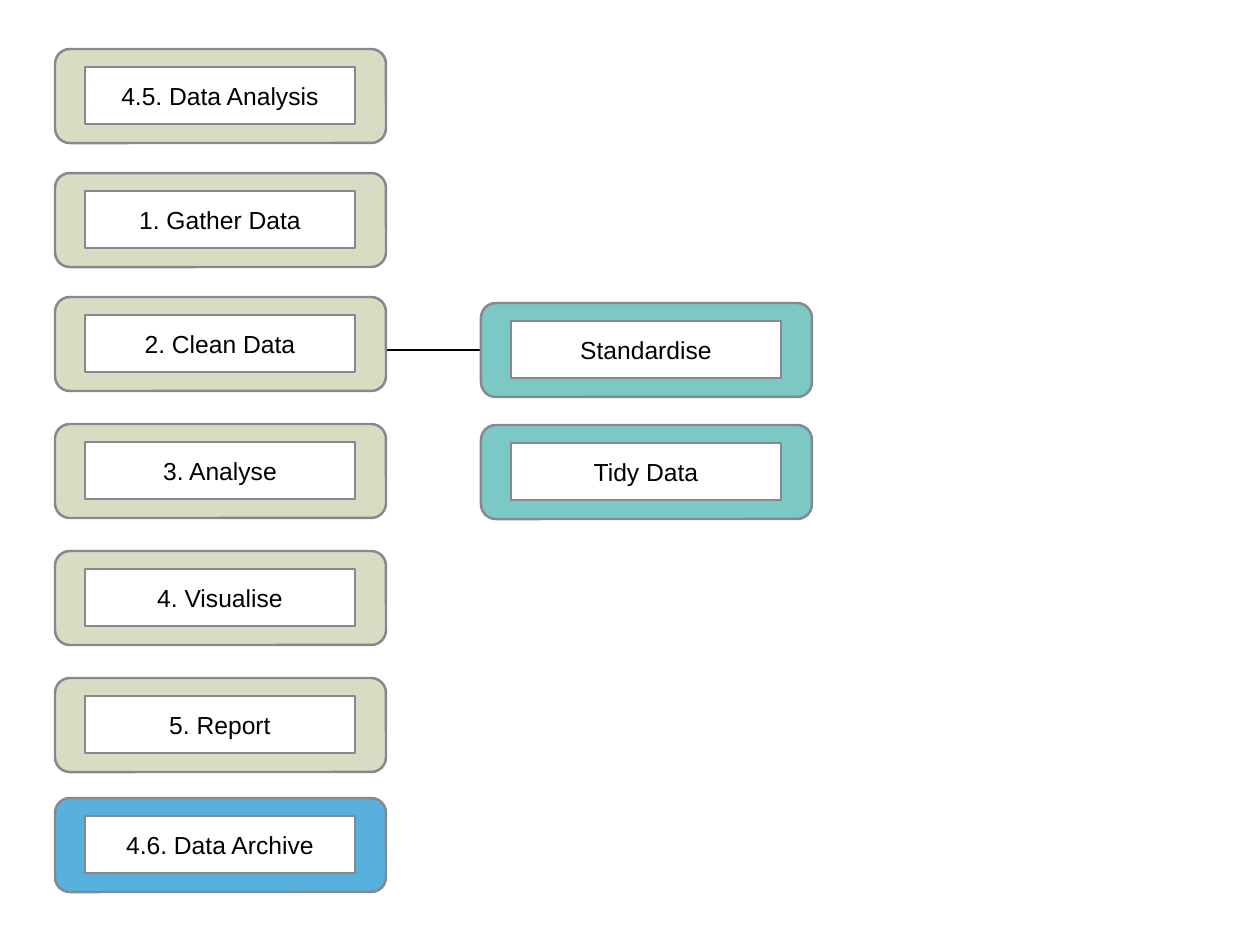
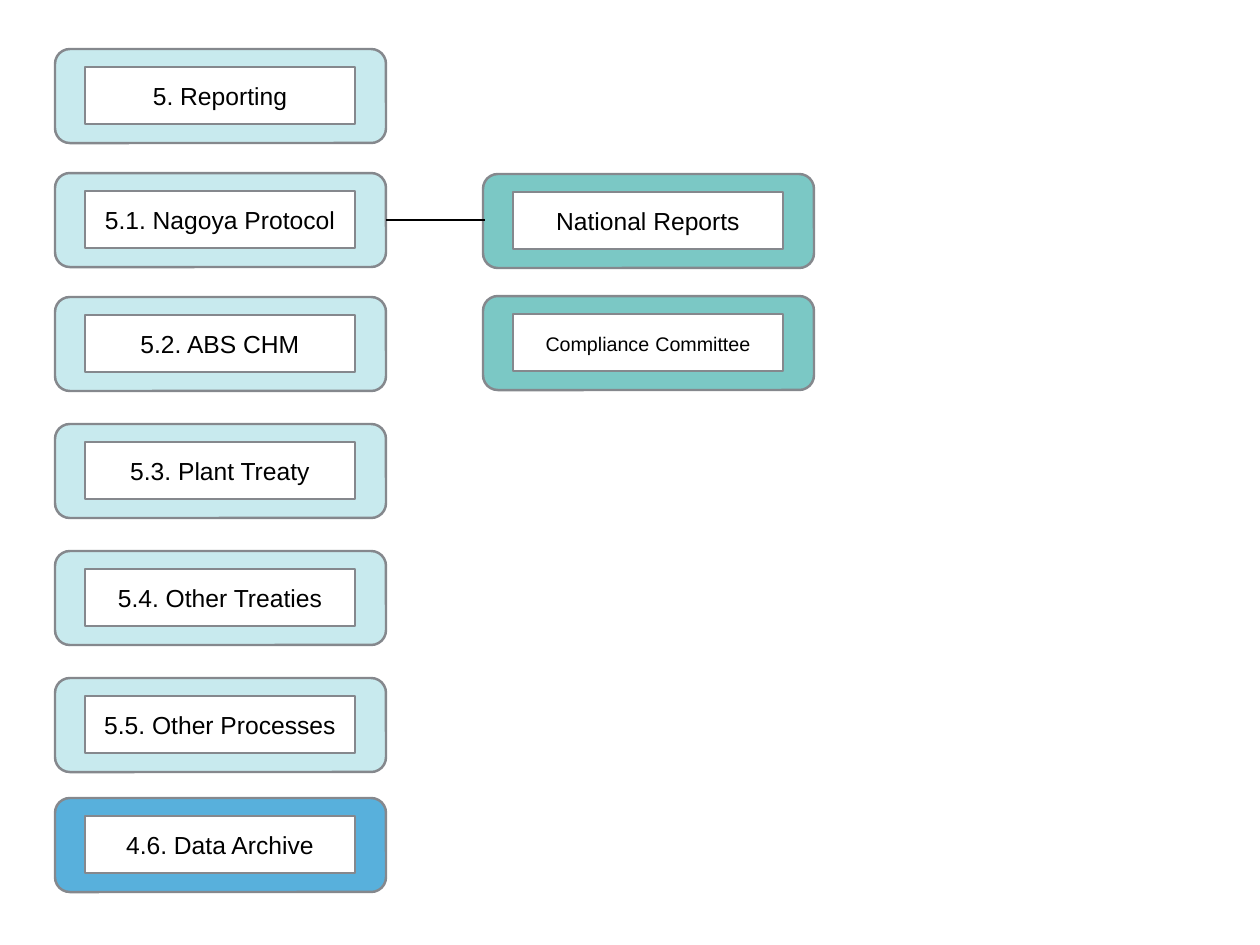
from pptx import Presentation
from pptx.dml.color import RGBColor
from pptx.enum.shapes import MSO_CONNECTOR, MSO_SHAPE
from pptx.enum.text import MSO_ANCHOR, PP_ALIGN
from pptx.oxml.ns import qn
from pptx.util import Pt
from lxml.etree import SubElement

ARCHIVE, SIDE = "58B0DC", "7BC8C5"
GREY, WHITE, BLACK = "85888D", "FFFFFF", "000000"

SLIDES = [
    {
        "color": "D9DCC3",
        "steps": ["4.5. Data Analysis", "1. Gather Data", "2. Clean Data", "3. Analyse",
                  "4. Visualise", "5. Report", "4.6. Data Archive"],
        "details": ["Standardise", "Tidy Data"],
        "details_at": (481, 303),
        "link": (384, 482, 350),
        "link_in_front": False,
    },
    {
        "color": "C8EAEE",
        "steps": ["5. Reporting", "5.1. Nagoya Protocol", "5.2. ABS CHM", "5.3. Plant Treaty",
                  "5.4. Other Treaties", "5.5. Other Processes", "4.6. Data Archive"],
        "details": ["National Reports", [("Compliance", 16), (" ", 18), ("Committee", 16)]],
        "details_at": (483, 174),
        "link": (386, 485, 220),
        "link_in_front": True,
    },
]

STEP_LEFT = 55
STEP_TOPS = [49, 173, 297, 424, 551, 678, 798]
DETAIL_PITCH = 122
CARD_W, CARD_H = 331, 94
LABEL_W, LABEL_H = 270, 57
LABEL_DX, LABEL_DY = 30, 18
INSET = 3


def px(n):
    return round(n * 914400 / 88.6)


def rgb(color):
    return RGBColor.from_string(color)


def box(shapes, kind, x, y, w, h, fill):
    sp = shapes.add_shape(kind, px(x), px(y), px(w), px(h))
    sp.shadow.inherit = False
    sp.fill.solid()
    sp.fill.fore_color.rgb = rgb(fill)
    sp.line.color.rgb = rgb(GREY)
    sp.line.width = Pt(2)
    return sp


def card(s, x, y, label, fill):
    shapes = s.shapes.add_group_shape().shapes
    frame = box(shapes, MSO_SHAPE.ROUNDED_RECTANGLE, x, y, CARD_W, CARD_H, fill)
    frame.adjustments[0] = 0.157
    sp = box(shapes, MSO_SHAPE.RECTANGLE, x + LABEL_DX, y + LABEL_DY, LABEL_W, LABEL_H, WHITE)
    tf = sp.text_frame
    tf.word_wrap = True
    tf.vertical_anchor = MSO_ANCHOR.MIDDLE
    tf.margin_left = tf.margin_right = tf.margin_top = tf.margin_bottom = px(INSET)
    p = tf.paragraphs[0]
    p.alignment = PP_ALIGN.CENTER
    for text, size in [(label, 20)] if isinstance(label, str) else label:
        r = p.add_run()
        r.text = text
        r.font.name = "Arial"
        r.font.size = Pt(size)
        r.font.color.rgb = rgb(BLACK)


def link(s, x1, x2, y):
    line = s.shapes.add_connector(MSO_CONNECTOR.STRAIGHT, px(x1), px(y), px(x2), px(y))
    line.line.color.rgb = rgb(BLACK)
    line.line.width = Pt(2)
    SubElement(line._element.spPr, qn("a:effectLst"))


prs = Presentation()
prs.slide_width, prs.slide_height = px(1260), px(945)

for content in SLIDES:
    s = prs.slides.add_slide(prs.slide_layouts[6])
    if not content["link_in_front"]:
        link(s, *content["link"])
    fills = [content["color"]] * (len(STEP_TOPS) - 1) + [ARCHIVE]
    for label, top, fill in zip(content["steps"], STEP_TOPS, fills):
        card(s, STEP_LEFT, top, label, fill)
    left, top = content["details_at"]
    for i, label in enumerate(content["details"]):
        card(s, left, top + i * DETAIL_PITCH, label, SIDE)
    if content["link_in_front"]:
        link(s, *content["link"])

prs.save("out.pptx")
